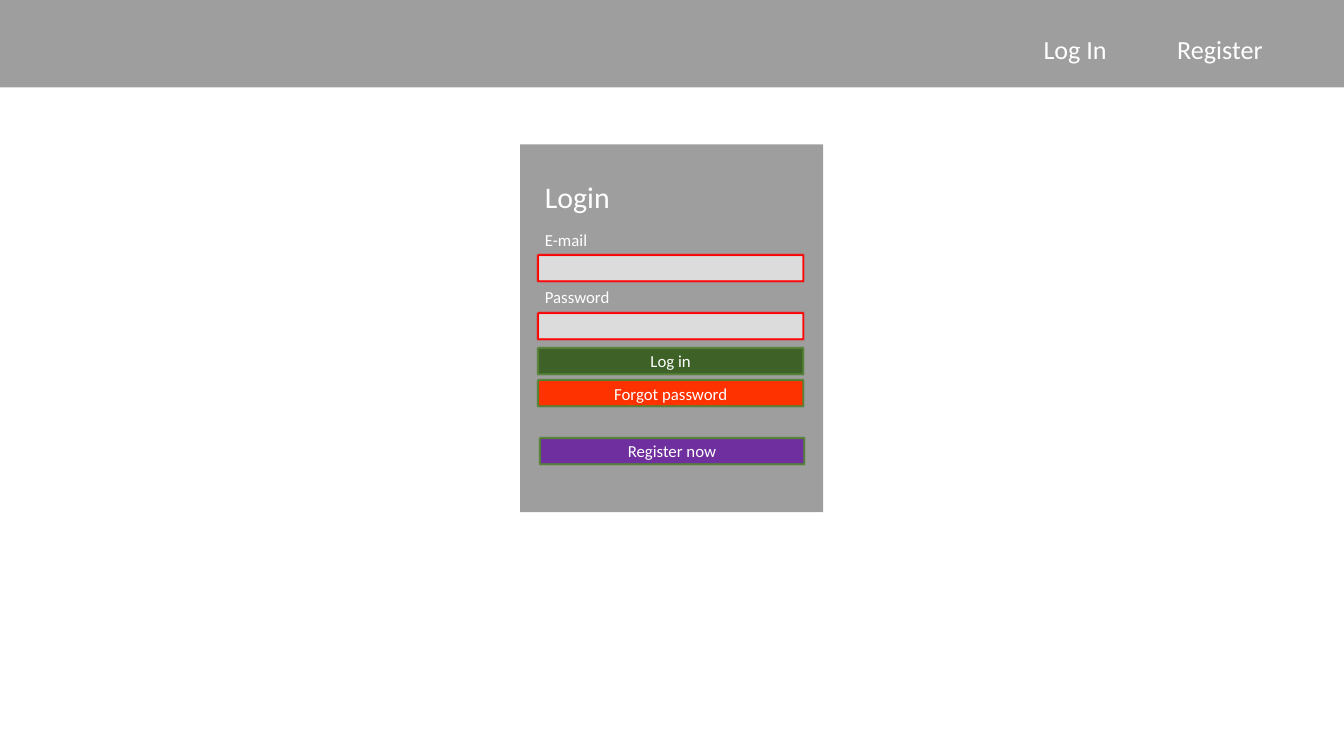
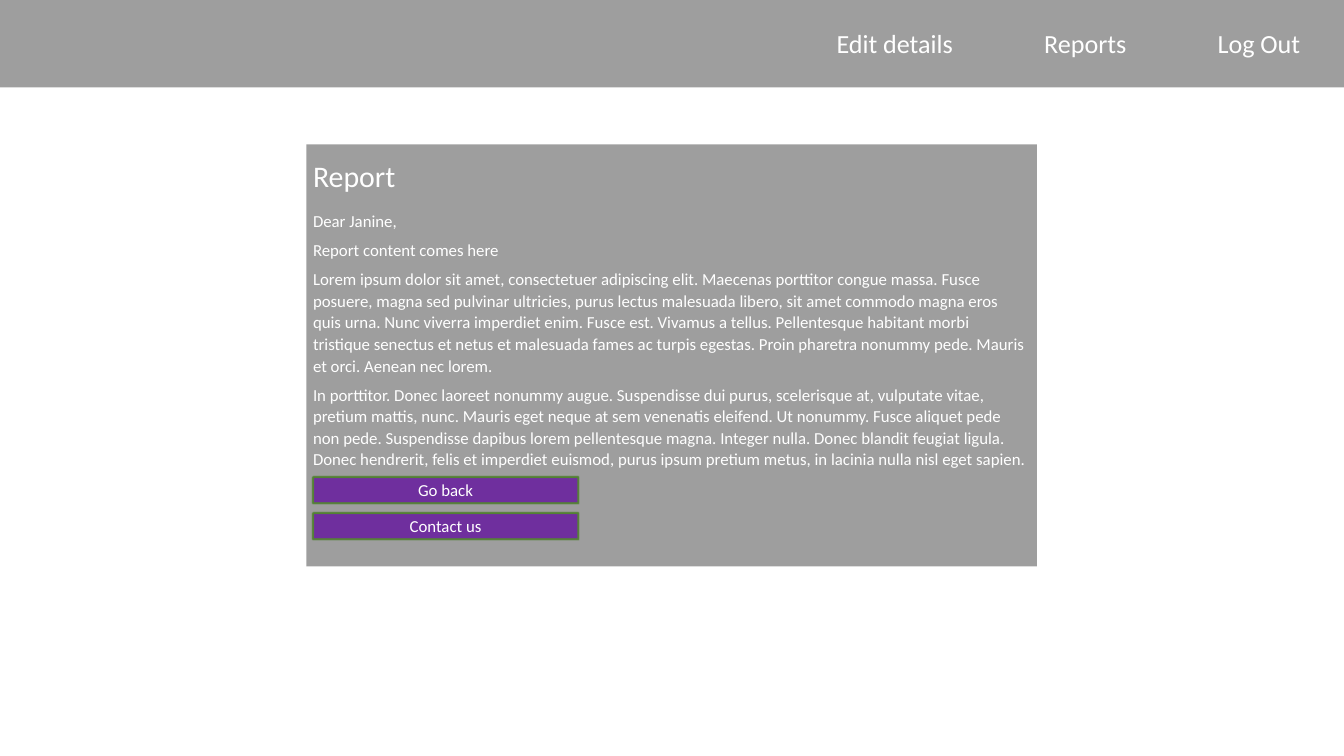
from pptx import Presentation
from pptx.util import Pt
from pptx.dml.color import RGBColor
from pptx.enum.shapes import MSO_SHAPE as Shape
from pptx.enum.text import PP_ALIGN as Align, MSO_ANCHOR as Anchor, MSO_AUTO_SIZE as Fit
from pptx.oxml.ns import qn
from lxml import etree

# Shared style
FONT = "Calibri"
WHITE, GREY = "FFFFFF", "808080"
RED, GREEN, ORANGE, PURPLE, EDGE = "FF0000", "3F6228", "FF3300", "7030A0", "548235"
WIDE, TALL = 1440, 810
TOP = 154.8                      # top of the panel on each slide
ROW_W, ROW_H = 283.68, 28.08     # fields and buttons

LOREM = (
    "Dear Janine,",
    "Report content comes here",
    "Lorem ipsum dolor sit amet, consectetuer adipiscing elit. Maecenas porttitor "
    "congue massa. Fusce posuere, magna sed pulvinar ultricies, purus lectus malesuada "
    "libero, sit amet commodo magna eros quis urna. Nunc viverra imperdiet enim. Fusce "
    "est. Vivamus a tellus. Pellentesque habitant morbi tristique senectus et netus et "
    "malesuada fames ac turpis egestas. Proin pharetra nonummy pede. Mauris et orci. "
    "Aenean nec lorem.",
    "In porttitor. Donec laoreet nonummy augue. Suspendisse dui purus, scelerisque at, "
    "vulputate vitae, pretium mattis, nunc. Mauris eget neque at sem venenatis eleifend. "
    "Ut nonummy. Fusce aliquet pede non pede. Suspendisse dapibus lorem pellentesque "
    "magna. Integer nulla. Donec blandit feugiat ligula. Donec hendrerit, felis et "
    "imperdiet euismod, purus ipsum pretium metus, in lacinia nulla nisl eget sapien.",
)


def color(code):
    return RGBColor.from_string(code)


def write(frame, *lines, size=18, align=Align.LEFT, space=None, after=None):
    frame.word_wrap = True
    for i, line in enumerate(lines):
        para = frame.add_paragraph() if i else frame.paragraphs[0]
        para.alignment = align
        if space:
            para.line_spacing = space
        if after:
            para.space_after = Pt(after)
        run = para.add_run()
        run.text = line
        run.font.name, run.font.size = FONT, Pt(size)
        run.font.color.rgb = color(WHITE)


def label(group, x, y, w, h, *lines, **style):
    box = group.shapes.add_textbox(Pt(x), Pt(y), Pt(w), Pt(h))
    write(box.text_frame, *lines, **style)
    box.text_frame.auto_size = Fit.SHAPE_TO_FIT_TEXT


def rect(group, x, y, w, h, fill, alpha=None, edge=None):
    box = group.shapes.add_shape(Shape.RECTANGLE, Pt(x), Pt(y), Pt(w), Pt(h))
    box.shadow.inherit = False
    box.fill.solid()
    box.fill.fore_color.rgb = color(fill)
    props = box._element.spPr
    if alpha:
        tone = props.find(qn("a:solidFill"))[0]
        etree.SubElement(tone, qn("a:alpha")).set("val", str(alpha * 1000))
    if edge:
        box.line.color.rgb = color(edge)
        box.line.width = Pt(3)
        # Slightly softened outline
        soft = etree.SubElement(props.find(qn("a:effectLst")), qn("a:softEdge"))
        soft.set("rad", str(Pt(1)))
    else:
        box.line.fill.background()
    return box


def panel(group, x, y, w, h):
    rect(group, x, y, w, h, GREY, alpha=76)


def field(group, x, y, name, width):
    rect(group, x, y + 30.96, ROW_W, ROW_H, WHITE, alpha=65, edge=RED)
    label(group, x, y, width, 29, name)


def button(group, x, y, name, fill):
    frame = rect(group, x, y, ROW_W, ROW_H, fill, edge=EDGE).text_frame
    frame.vertical_anchor = Anchor.MIDDLE
    write(frame, name, align=Align.CENTER)


def header(slide, y, links):
    group = slide.shapes.add_group_shape()
    panel(group, 0, 0, WIDE, 93.6)
    for x, name in links:
        label(group, x, y, 142.56, 41, name, size=28)


def login(slide):
    header(slide, 32.4, ((1110.96, "Log In"), (1254.24, "Register")))
    form = slide.shapes.add_group_shape()
    left = 576.72
    panel(form, 557.28, TOP, 324.72, 393.84)
    label(form, left, 187.92, 153.36, 46, "Login", size=32)
    # Entry fields
    for i, (name, width) in enumerate((("E-mail", 64), ("Password", 90.72))):
        field(form, left, 242.64 + i * 61.2, name, width)
    # Actions
    button(form, left, 372.96, "Log in", GREEN)
    button(form, left, 407.52, "Forgot password", ORANGE)
    button(form, left + 1.44, 469.44, "Register now", PURPLE)


def report(slide):
    header(slide, 25.92, ((889.2, "Edit details"), (1111.68, "Reports"),
                          (1297.44, "Log Out")))
    left, width = 328.32, 782.64
    panel(slide, left, TOP, width, 452.16)
    label(slide, left, 164.88, 374.4, 46, "Report", size=32)
    label(slide, left, 221.04, width, 318.24, *LOREM, space=1.07, after=8)
    for i, name in enumerate(("Go back", "Contact us")):
        button(slide, left + 7.2, 510.48 + i * 38.88, name, PURPLE)


def main():
    deck = Presentation()
    deck.slide_width, deck.slide_height = Pt(WIDE), Pt(TALL)
    for build in (login, report):
        build(deck.slides.add_slide(deck.slide_layouts[6]))
    deck.save("out.pptx")


main()
